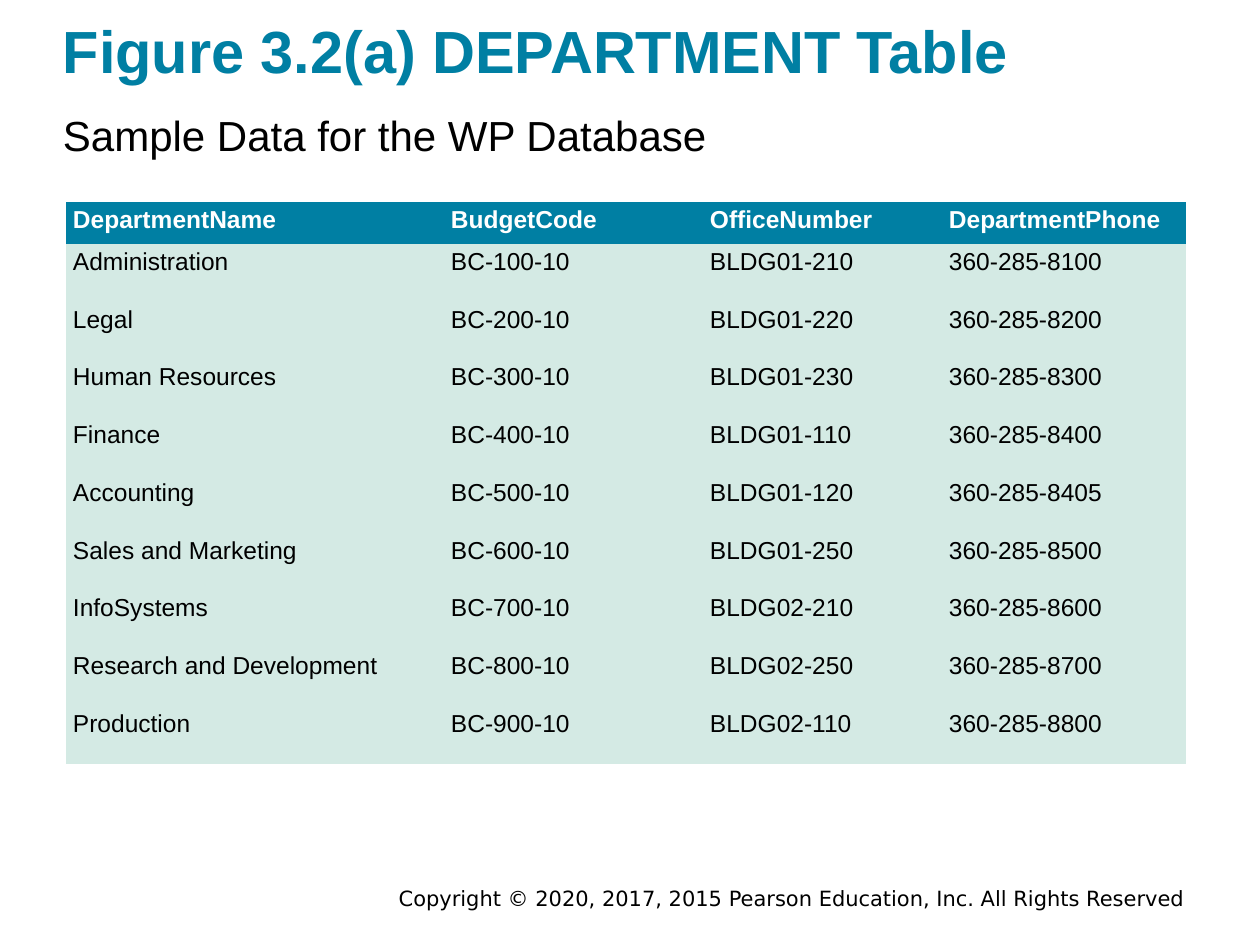
from pptx import Presentation
from pptx.dml.color import RGBColor
from pptx.enum.text import MSO_ANCHOR, PP_ALIGN
from pptx.oxml.ns import qn
from pptx.util import Pt

PX = 914400 / 126
LEFT, RIGHT = PP_ALIGN.LEFT, PP_ALIGN.RIGHT
TOP, MIDDLE = MSO_ANCHOR.TOP, MSO_ANCHOR.MIDDLE
TEAL, MINT, WHITE, BLACK = "007FA3", "D4EAE4", "FFFFFF", "000000"
NO_STYLE_NO_GRID = "{2D5ABB26-0587-4C30-8999-92F81FD0307C}"


def px(length):
    return round(length * PX)


def write(para, text, color, **font):
    span = para.add_run()
    span.text = text
    span.font.color.rgb = RGBColor.from_string(color)
    for name, value in font.items():
        setattr(span.font, name, value)


deck = Presentation()
deck.slide_width, deck.slide_height = px(1260), px(945)
page = deck.slides.add_slide(deck.slide_layouts[6])

# Title, subtitle and copyright line: place, insets, anchor, alignment, text, font
texts = [
    ((63, 14, 1124, 72), (0, 0, 0, 0), MIDDLE, LEFT,
     "Figure 3.2(a) DEPARTMENT Table", TEAL,
     {"name": "Arial", "size": Pt(34), "bold": True}),
    ((63, 105, 1124, 53), (0, 5, 0, 0), TOP, LEFT,
     "Sample Data for the WP Database", BLACK,
     {"name": "Arial", "size": Pt(24)}),
    ((212, 880, 986, 38), (13, 6, 13, 6), TOP, RIGHT,
     "Copyright © 2020, 2017, 2015 Pearson Education, Inc. All Rights Reserved", BLACK,
     {"name": "DejaVu Sans", "size": Pt(12)}),
]
for place, insets, anchor, align, text, color, font in texts:
    frame = page.shapes.add_textbox(*map(px, place)).text_frame
    frame.word_wrap = True
    frame.vertical_anchor = anchor
    for side, inset in zip(("left", "top", "right", "bottom"), insets):
        setattr(frame, f"margin_{side}", px(inset))
    frame.paragraphs[0].alignment = align
    write(frame.paragraphs[0], text, color, **font)

# Department data
rows = [
    ("DepartmentName", "BudgetCode", "OfficeNumber", "DepartmentPhone"),
    ("Administration", "BC-100-10", "BLDG01-210", "360-285-8100"),
    ("Legal", "BC-200-10", "BLDG01-220", "360-285-8200"),
    ("Human Resources", "BC-300-10", "BLDG01-230", "360-285-8300"),
    ("Finance", "BC-400-10", "BLDG01-110", "360-285-8400"),
    ("Accounting", "BC-500-10", "BLDG01-120", "360-285-8405"),
    ("Sales and Marketing", "BC-600-10", "BLDG01-250", "360-285-8500"),
    ("InfoSystems", "BC-700-10", "BLDG02-210", "360-285-8600"),
    ("Research and Development", "BC-800-10", "BLDG02-250", "360-285-8700"),
    ("Production", "BC-900-10", "BLDG02-110", "360-285-8800"),
]
widths = [367, 223, 248, 282]
indents = [7, 18, 54, 45]
header_height, body_height = 42, 520

# Table
table = page.shapes.add_table(
    len(rows), len(widths), px(66), px(202),
    px(sum(widths)), px(header_height + body_height)).table
table.horz_banding = False
table._tbl.tblPr.find(qn("a:tableStyleId")).text = NO_STYLE_NO_GRID
for column, width in zip(table.columns, widths):
    column.width = px(width)

for r, values in enumerate(rows):
    header = r == 0
    table.rows[r].height = px(header_height if header else body_height / (len(rows) - 1))
    for c, value in enumerate(values):
        cell = table.cell(r, c)
        cell.fill.solid()
        cell.fill.fore_color.rgb = RGBColor.from_string(TEAL if header else MINT)
        for side in ("left", "top", "right", "bottom"):
            setattr(cell, f"margin_{side}", 0)
        para = cell.text_frame.paragraphs[0]
        para.line_spacing = 1.15
        para._p.get_or_add_pPr().set("marL", str(px(indents[c])))
        write(para, value, WHITE if header else BLACK,
              name="Arial", size=Pt(14), bold=header)

deck.save("out.pptx")
